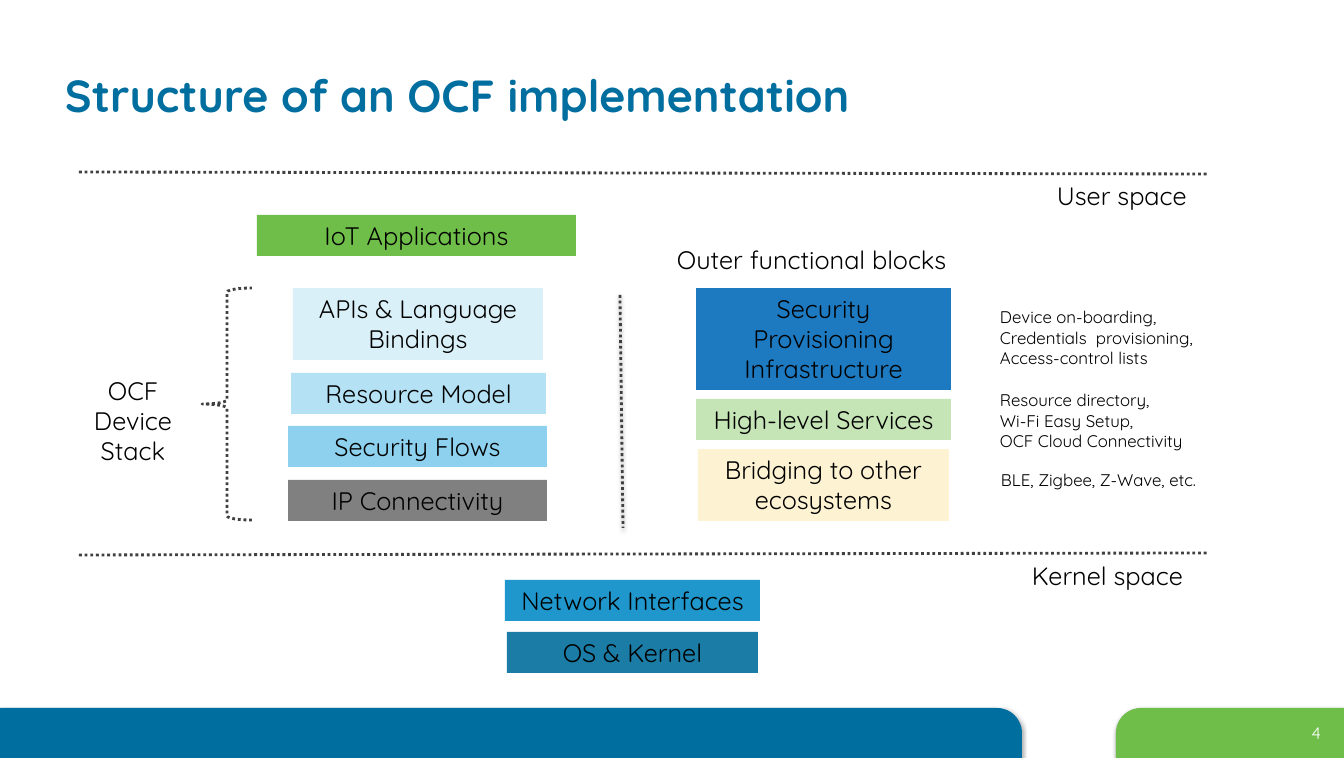
from lxml import etree
from pptx import Presentation
from pptx.dml.color import RGBColor
from pptx.enum.dml import MSO_LINE
from pptx.enum.shapes import MSO_CONNECTOR, MSO_SHAPE
from pptx.enum.text import MSO_ANCHOR, MSO_AUTO_SIZE, PP_ALIGN
from pptx.oxml.ns import qn
from pptx.util import Pt

LEFT, CENTER, RIGHT = PP_ALIGN.LEFT, PP_ALIGN.CENTER, PP_ALIGN.RIGHT
TOP, MIDDLE, BOTTOM = MSO_ANCHOR.TOP, MSO_ANCHOR.MIDDLE, MSO_ANCHOR.BOTTOM
RECTANGLE, BRACE = MSO_SHAPE.RECTANGLE, MSO_SHAPE.LEFT_BRACE
ROUND_CORNER = MSO_SHAPE.ROUND_1_RECTANGLE
STRAIGHT, DOTTED = MSO_CONNECTOR.STRAIGHT, MSO_LINE.ROUND_DOT
FIT_SHAPE, FIT_NONE = MSO_AUTO_SIZE.SHAPE_TO_FIT_TEXT, MSO_AUTO_SIZE.NONE

SCALE = 914400 / 101.1  # EMU per pixel
FONT = "Quicksand"
BLUE, GREEN, WHITE, BLACK, DARK = "006E9F", "6EBE49", "FFFFFF", "000000", "404040"
BODY, SMALL = 18, 12
BLOCK_HEIGHTS = {1: 41, 2: 72, 3: 102}  # by number of text lines

# Content: left, top, width, text lines high, fill, paragraphs
BLOCKS = [
    (257, 215, 319, 1, GREEN, ["IoT Applications"]),
    (293, 288, 250, 2, "D9F0F9", ["APIs & Language Bindings"]),
    (291, 373, 255, 1, "B4E1F4", ["Resource Model"]),
    (288, 426, 259, 1, "8ED1EE", ["Security Flows"]),
    (288, 480, 259, 1, "808080", ["IP Connectivity"]),
    (696, 288, 255, 3, "1D7AC1", ["Security Provisioning Infrastructure"]),
    (696, 399, 255, 1, "C5E5B6", ["High-level Services"]),
    (698, 449, 251, 2, "FDF3D3", ["Bridging to other", "ecosystems"]),
    (505, 580, 255, 1, "1F97CC", ["Network Interfaces"]),
    (507, 632, 251, 1, "1B7CA6", ["OS & Kernel"]),
]
# Left, top, width, height, size, alignment, paragraphs
LABELS = [
    (79, 370, 108, 102, BODY, CENTER, ["OCF", "Device", "Stack"]),
    (1047, 175, 157, 41, BODY, LEFT, ["User space"]),
    (1022, 555, 182, 41, BODY, LEFT, ["Kernel space"]),
    (667, 239, 307, 41, BODY, LEFT, ["Outer functional blocks"]),
    (990, 302, 226, 72, SMALL, LEFT,
     ["Device on-boarding,", "Credentials  provisioning,", "Access-control lists"]),
    (990, 385, 222, 72, SMALL, LEFT,
     ["Resource directory,", "Wi-Fi Easy Setup,", "OCF Cloud Connectivity"]),
    (991, 465, 232, 30, SMALL, LEFT, ["BLE, Zigbee, Z-Wave, etc."]),
]
# Start x, start y, end x, end y, shadow opacity in percent
DIVIDERS = [
    (620, 295, 623, 528, 38),
    (79, 172, 1207, 174, 0),
    (79, 555, 1207, 553, 0),
]
# Left, width, fill, mirrored
FOOTER_BARS = [(0, 1022, BLUE, False), (1116, 228, GREEN, True)]


def px(*lengths):
    return [round(length * SCALE) for length in lengths]


def color(value):
    return RGBColor.from_string(value)


def set_shadow(shape, opacity=0):
    effects = etree.SubElement(shape._element.spPr, qn("a:effectLst"))
    if opacity:
        shadow = etree.SubElement(effects, qn("a:outerShdw"), blurRad=str(Pt(3.1)),
                                  dist=str(Pt(1.7)), dir="5400000", rotWithShape="0")
        tint = etree.SubElement(shadow, qn("a:srgbClr"), val=BLACK)
        etree.SubElement(tint, qn("a:alpha"), val=str(opacity * 1000))


def dot_line(line):
    line.color.rgb = color(DARK)
    line.width = Pt(2)
    line.dash_style = DOTTED


def write(shape, lines, size, align=LEFT, ink=BLACK, bold=False,
          anchor=TOP, wrap=True, fit=FIT_NONE):
    frame = shape.text_frame
    frame.word_wrap = wrap
    frame.auto_size = fit
    frame.vertical_anchor = anchor
    for index, text in enumerate(lines):
        para = frame.add_paragraph() if index else frame.paragraphs[0]
        para.alignment = align
        span = para.add_run()
        span.text = text
        span.font.name = FONT
        span.font.size = Pt(size)
        span.font.bold = bold
        span.font.color.rgb = color(ink)


def add_filled(kind, left, top, width, height, fill, opacity=0):
    shape = page.shapes.add_shape(kind, *px(left, top, width, height))
    shape.fill.solid()
    shape.fill.fore_color.rgb = color(fill)
    shape.line.fill.background()
    set_shadow(shape, opacity)
    return shape


deck = Presentation()
deck.slide_width, deck.slide_height = px(1344, 758)
page = deck.slides.add_slide(deck.slide_layouts[6])

# Footer bars and page number
for left, width, fill, mirrored in FOOTER_BARS:
    bar = add_filled(ROUND_CORNER, left, 708, width, 50, fill, opacity=35)
    bar.adjustments[0] = 0.5
    if mirrored:
        bar._element.spPr.xfrm.set("flipH", "1")
number = page.shapes.add_textbox(*px(1196, 718, 135, 38))
write(number, ["4"], SMALL, RIGHT, WHITE)

# Title
title = page.shapes.add_textbox(*px(55, 9, 1138, 117))
write(title, ["Structure of an OCF implementation"], 32, ink=BLUE, bold=True, anchor=BOTTOM)

# Stack blocks
for left, top, width, rows, fill, lines in BLOCKS:
    block = add_filled(RECTANGLE, left, top, width, BLOCK_HEIGHTS[rows], fill)
    write(block, lines, BODY, CENTER, anchor=TOP, fit=FIT_SHAPE)

# Dotted dividers
for x1, y1, x2, y2, opacity in DIVIDERS:
    divider = page.shapes.add_connector(STRAIGHT, *px(x1, y1, x2, y2))
    dot_line(divider.line)
    set_shadow(divider, opacity)

# Brace around the device stack
brace = page.shapes.add_shape(BRACE, *px(202, 288, 50, 232))
brace.fill.background()
dot_line(brace.line)
set_shadow(brace)

# Labels
for left, top, width, height, size, align, lines in LABELS:
    label = page.shapes.add_textbox(*px(left, top, width, height))
    write(label, lines, size, align, wrap=False, fit=FIT_SHAPE)

deck.save("out.pptx")
